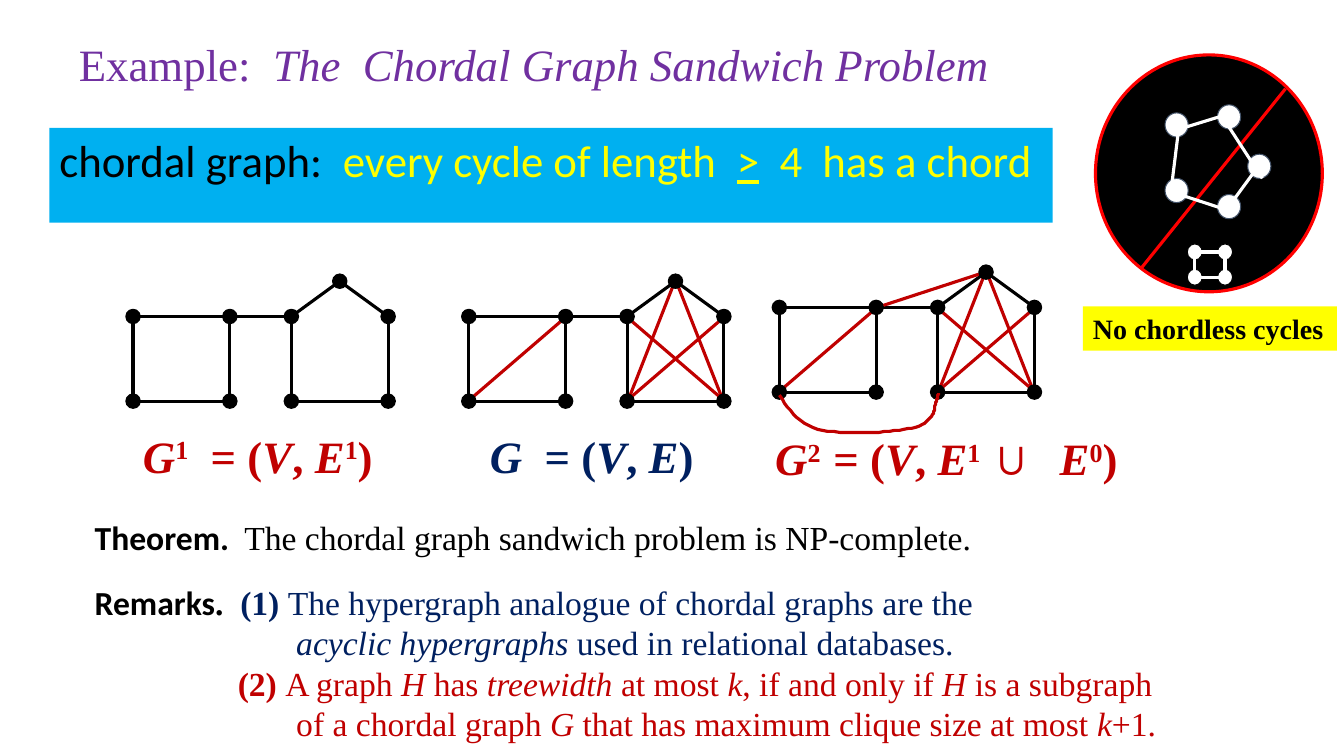
"""Build a slide about the chordal graph sandwich problem."""
from math import hypot

from lxml.etree import SubElement
from pptx import Presentation
from pptx.dml.color import RGBColor as RGB
from pptx.enum.shapes import MSO_CONNECTOR as CONN, MSO_SHAPE as SHAPE
from pptx.enum.text import MSO_ANCHOR as ANCHOR, PP_ALIGN as ALIGN
from pptx.oxml.ns import qn
from pptx.util import Emu, Pt

PX = 9144
COLORS = {
    "black": "000000", "white": "FFFFFF", "red": "FF0000", "crimson": "C00000",
    "navy": "002060", "purple": "7030A0", "blue": "00B0F0", "yellow": "FFFF00",
    "slate": "44546A",
}
RGBS = {name: RGB.from_string(value) for name, value in COLORS.items()}

prs = Presentation()
prs.slide_width, prs.slide_height = Emu(1333 * PX), Emu(750 * PX)
s = prs.slides.add_slide(prs.slide_layouts[6])


def add_line(x1, y1, x2, y2, color):
    sp = s.shapes.add_connector(CONN.STRAIGHT, *(Emu(round(v) * PX) for v in (x1, y1, x2, y2)))
    sp.line.color.rgb = RGBS[color]
    sp.line.width = Pt(2.25)
    SubElement(sp._element.spPr, qn("a:effectLst"))


def add_oval(cx, cy, w, h, fill, line, width):
    box = (cx - w / 2, cy - h / 2, w, h)
    sp = s.shapes.add_shape(SHAPE.OVAL, *(Emu(int(v * PX)) for v in box))
    sp.shadow.inherit = False
    sp.fill.solid()
    sp.fill.fore_color.rgb = RGBS[fill]
    sp.line.color.rgb = RGBS[line]
    sp.line.width = Pt(width)


# Colours of the sign: a crossed-out pentagon and square
add_oval(1199, 172, 225, 235, "black", "red", 2.25)
add_line(1275, 88, 1132, 266, "red")
for cx, cy in [(1167, 124), (1219, 116), (1249, 165), (1219, 205), (1167, 189)]:
    add_oval(cx, cy, 23, 24, "white", "slate", 0.75)
for ends in [(1170, 120, 1162, 185), (1170, 128, 1222, 112), (1215, 120, 1252, 177),
             (1245, 169, 1215, 210), (1222, 210, 1170, 193)]:
    add_line(*ends, "white")

left, right, top, bottom = 1185, 1215, 250, 275
for cx in (left, right):
    for cy in (top, bottom):
        add_oval(cx, cy, 15, 16, "white", "black", 0.75)
    add_line(cx, top, cx, bottom, "white")
for cy in (top, bottom):
    add_line(left, cy, right, cy, "white")

NODES = {
    "a": (0, 0), "b": (96, 0), "c": (157, 0), "d": (253, 0),
    "e": (0, 84), "f": (96, 84), "g": (157, 84), "h": (253, 84), "apex": (205, -35),
}
EDGES = [("a", "b"), ("b", "c"), ("a", "e"), ("b", "f"), ("e", "f"), ("c", "g"),
         ("d", "h"), ("g", "h"), ("c", "apex"), ("apex", "d")]
CHORDS = [("e", "b"), ("g", "d"), ("h", "c"), ("g", "apex"), ("h", "apex")]
RADIUS = 7
GRAPHS = [(132, 314, []), (465, 314, CHORDS), (773, 305, CHORDS + [("b", "apex")])]

for x0, y0, chords in GRAPHS:
    for edges, color, gap in [(EDGES, "black", 0), (chords, "crimson", RADIUS)]:
        for start, end in edges:
            (x1, y1), (x2, y2) = NODES[start], NODES[end]
            length = hypot(x2 - x1, y2 - y1)
            dx, dy = gap * (x2 - x1) / length, gap * (y2 - y1) / length
            add_line(x0 + x1 + dx, y0 + y1 + dy, x0 + x2 - dx, y0 + y2 - dy, color)
    for x, y in NODES.values():
        add_oval(x0 + x, y0 + y, 2 * RADIUS, 2 * RADIUS, "black", "black", 1)

CURVE = [(773, 392), (782, 405), (791, 418), (806, 424), (821, 430), (845, 429),
         (862, 429), (879, 429), (897, 426), (908, 424), (918, 421), (920, 418),
         (923, 414), (927, 410), (927, 404), (928, 400), (929, 396), (930, 393), (931, 390)]
STEPS = 10
points = []
for i in range(0, len(CURVE) - 1, 3):
    for t in (n / STEPS for n in range(1, STEPS + 1)):
        weights = ((1 - t) ** 3, 3 * t * (1 - t) ** 2, 3 * t ** 2 * (1 - t), t ** 3)
        points.append([sum(w * pt[k] for w, pt in zip(weights, CURVE[i:i + 4])) for k in (0, 1)])
builder = s.shapes.build_freeform(*CURVE[0], scale=PX)
builder.add_line_segments(points, close=False)
sp = builder.convert_to_shape()
sp.shadow.inherit = False
sp.fill.background()
sp.line.color.rgb = RGBS["crimson"]
sp.line.width = Pt(2.25)

SERIF, SANS = "Times New Roman", "Calibri"
I, SUP, PLAIN = {"italic": True}, {"baseline": "30000"}, {}
FORMULA = {"name": SERIF, "size": Pt(32), "bold": True, "color": "crimson"}
BODY = {"name": SERIF, "size": Pt(24), "color": "black"}
HEAD = {"name": SANS, "bold": True}
NAVY, CRIMSON = {"color": "navy"}, {"color": "crimson"}
YELLOW = {"color": "yellow"}
PAIR = [("V", I), (", ", PLAIN), ("E", I)]

TEXTS = [
    ((49, 30, 961, 66), None, {"name": SERIF, "size": Pt(32), "color": "purple"},
     [(0, [("Example:  ", PLAIN), ("The  Chordal Graph Sandwich Problem", I)])]),
    ((49, 127, 995, 94), "blue", {"name": SANS, "size": Pt(32), "color": "black"},
     [(0, [("chordal graph:  ", PLAIN), ("every cycle of length  ", YELLOW),
           (">", YELLOW | {"underline": True}), ("  4  has a chord", YELLOW)])]),
    ((132, 420, 266, 64), None, FORMULA,
     [(0, [("G", I), ("1", SUP), ("  = (", PLAIN), *PAIR, ("1", SUP), (")", PLAIN)])]),
    ((476, 420, 266, 64), None, FORMULA | NAVY,
     [(0, [("G", I), ("  = (", PLAIN), *PAIR, (")", PLAIN)])]),
    ((759, 417, 410, 71), None, FORMULA,
     [(0, [("G", I), ("2  ", SUP), ("= (", PLAIN), *PAIR, ("1 ", SUP),
           ("∪", {"size": Pt(36)}), ("  ", PLAIN), ("E", I), ("0", SUP), (")", PLAIN)])]),
    ((1074, 304, 252, 44), "yellow",
     {"name": SERIF, "size": Pt(20), "bold": True, "color": "black"},
     [(0, [("No chordless cycles", PLAIN)])]),
    ((84, 508, 1062, 50), None, BODY,
     [(0, [("Theorem.  ", HEAD),
           ("The chordal graph sandwich problem is NP-complete.", PLAIN)])]),
    ((84, 572, 1134, 172), None, BODY | CRIMSON,
     [(0, [("Remarks", HEAD | {"color": "black"}), (".  ", {"bold": True, "color": "black"}),
           ("(1) ", NAVY | {"bold": True}),
           ("The hypergraph analogue of chordal graphs are the", NAVY)]),
      (200, [("acyclic hypergraphs ", NAVY | I), ("used in relational databases.", NAVY)]),
      (142, [("(2) ", {"bold": True}), ("A graph ", PLAIN), ("H ", I), ("has ", PLAIN),
             ("treewidth", I), (" at most ", PLAIN), ("k", I), (", if and only if ", PLAIN),
             ("H ", I), ("is a subgraph", PLAIN)]),
      (200, [("of a chordal graph ", PLAIN), ("G", I),
             (" that has maximum clique size at most ", PLAIN), ("k", I), ("+1.", PLAIN)])]),
]

for box, fill, base, paragraphs in TEXTS:
    box = [Emu(v * PX) for v in box]
    if fill:
        sp = s.shapes.add_shape(SHAPE.RECTANGLE, *box)
        sp.shadow.inherit = False
        sp.fill.solid()
        sp.fill.fore_color.rgb = RGBS[fill]
        sp.line.fill.background()
    else:
        sp = s.shapes.add_textbox(*box)
    is_title = base["color"] == "purple"
    tf = sp.text_frame
    tf.word_wrap = True
    tf.vertical_anchor = ANCHOR.MIDDLE if is_title else ANCHOR.TOP
    for n, (indent, runs) in enumerate(paragraphs):
        p = tf.add_paragraph() if n else tf.paragraphs[0]
        p.alignment = ALIGN.CENTER if is_title else ALIGN.LEFT
        if indent:
            p.line_spacing = Pt(29)
            p._p.get_or_add_pPr().set("marL", str(indent * PX))
        for text, extra in runs:
            r = p.add_run()
            r.text = text
            for key, value in (base | extra).items():
                if key == "color":
                    r.font.color.rgb = RGBS[value]
                elif key == "baseline":
                    r.font._element.set(key, value)
                else:
                    setattr(r.font, key, value)

prs.save("out.pptx")
